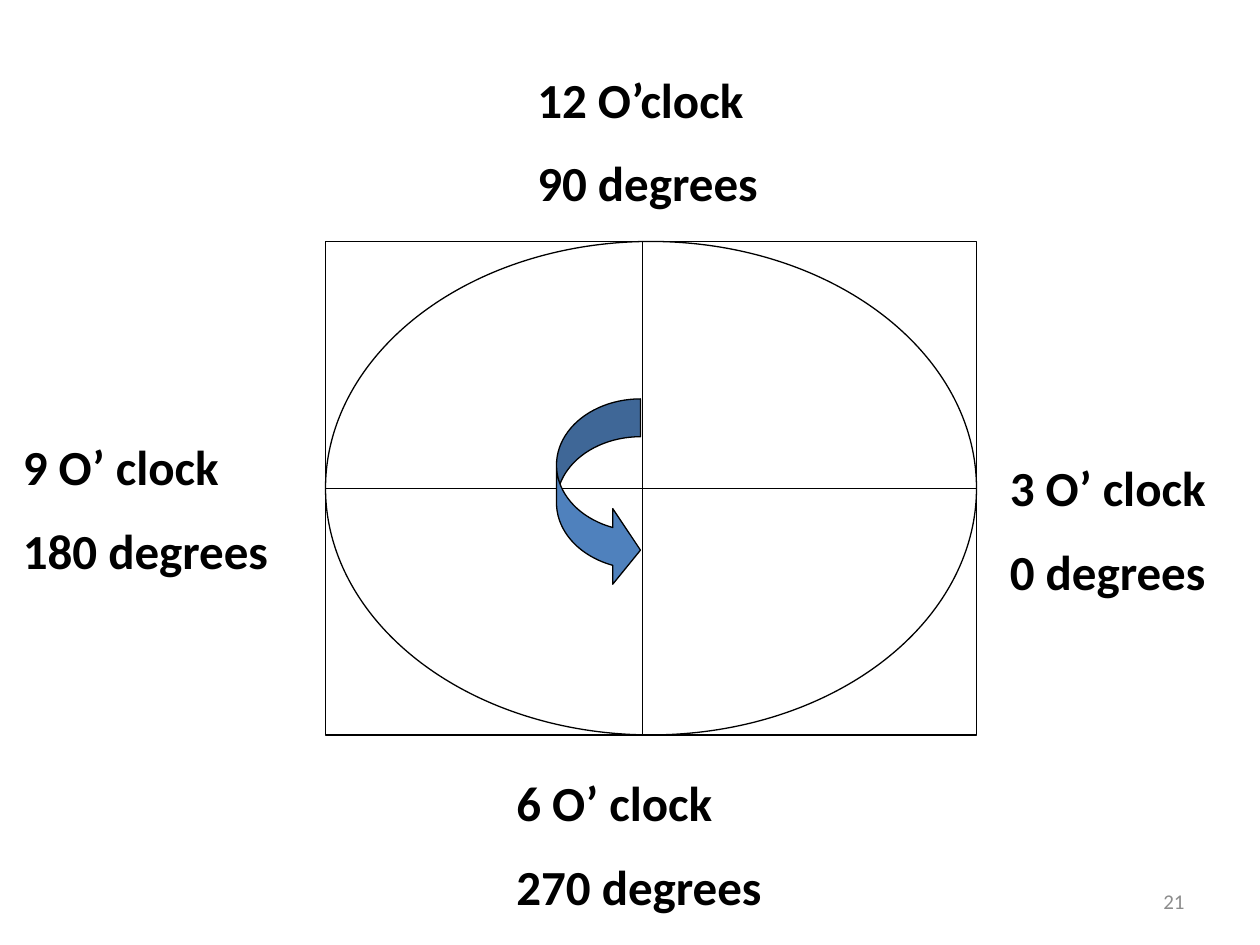
from lxml import etree
from pptx import Presentation
from pptx.dml.color import RGBColor
from pptx.enum.shapes import MSO_CONNECTOR, MSO_SHAPE
from pptx.enum.text import MSO_ANCHOR, MSO_AUTO_SIZE, PP_ALIGN
from pptx.oxml.ns import qn
from pptx.util import Inches, Pt

LINE = MSO_CONNECTOR.STRAIGHT
RECT, OVAL, ARROW = MSO_SHAPE.RECTANGLE, MSO_SHAPE.OVAL, MSO_SHAPE.CURVED_RIGHT_ARROW
MIDDLE, RIGHT, GROW = MSO_ANCHOR.MIDDLE, PP_ALIGN.RIGHT, MSO_AUTO_SIZE.SHAPE_TO_FIT_TEXT

COLORS = {"ink": "000000", "gray": "8C8C8C", "blue": "4F81BD"}
COLORS = {name: RGBColor.from_string(code) for name, code in COLORS.items()}
LABEL = {"name": "Calibri", "size": Pt(28), "bold": True}
NUMBER = {"name": "Calibri", "size": Pt(12)}

deck = Presentation()
deck.slide_width, deck.slide_height = Inches(10), Inches(7.5)
slide = deck.slides.add_slide(deck.slide_layouts[6])
CELL = deck.slide_width / 120  # grid of 120 columns by 90 rows


def grid(*cells):
    return [round(n * CELL) for n in cells]


def style(run, font, color):
    for key, value in font.items():
        setattr(run.font, key, value)
    run.font.color.rgb = COLORS[color]


# Slide number
box = slide.shapes.add_textbox(*grid(86, 83.4, 28, 4.8))
box.text_frame.word_wrap = True
box.text_frame.vertical_anchor = MIDDLE
par = box.text_frame.paragraphs[0]
par.alignment = RIGHT
run = par.add_run()
run.text = "21"
style(run, NUMBER, "gray")

# Dial: a framed ellipse cut by two axes
left, top, width, height = 31, 23, 62, 47
dial = slide.shapes.add_group_shape().shapes
upright = dial.add_connector(LINE, *grid(61.2, top, 61.2, top + height))
frame, ring = [dial.add_shape(kind, *grid(left, top, width, height))
               for kind in (RECT, OVAL)]
mid = top + height / 2
level = dial.add_connector(LINE, *grid(left, mid, left + width, mid))
level.begin_connect(frame, 1)
level.end_connect(frame, 3)
for axis in (upright, level):
    etree.SubElement(axis._element.spPr, qn("a:effectLst"))
for shape in (frame, ring):
    shape.fill.background()
    shape.shadow.inherit = False

# Labels around the dial
labels = [
    (95, 43, 25, "3 O’ clock", "0 degrees"),
    (50, 6, 25, "12 O’clock", "90 degrees"),
    (1, 41, 29, "9 O’ clock", "180 degrees"),
    (48, 73, 32, "6 O’ clock", "270 degrees"),
]
for col, row, wide, hour, angle in labels:
    box = slide.shapes.add_textbox(*grid(col, row, wide, 15.2))
    text = box.text_frame
    text.word_wrap = True
    text.auto_size = GROW
    first, second = text.paragraphs[0], text.add_paragraph()
    second.space_before = Pt(14)
    for par, words in ((first, hour), (second, angle)):
        run = par.add_run()
        run.text = words
        style(run, LABEL, "ink")

# Turning direction
turn = slide.shapes.add_shape(ARROW, *grid(53, 38, 8, 18))
for i, value in enumerate((0.45, 0.9, 0.33)):
    turn.adjustments[i] = value
turn.fill.solid()
turn.fill.fore_color.rgb = COLORS["blue"]
turn.shadow.inherit = False

for shape in (upright, frame, ring, level, turn):
    shape.line.color.rgb = COLORS["ink"]
    shape.line.width = Pt(0.75)

deck.save("out.pptx")
